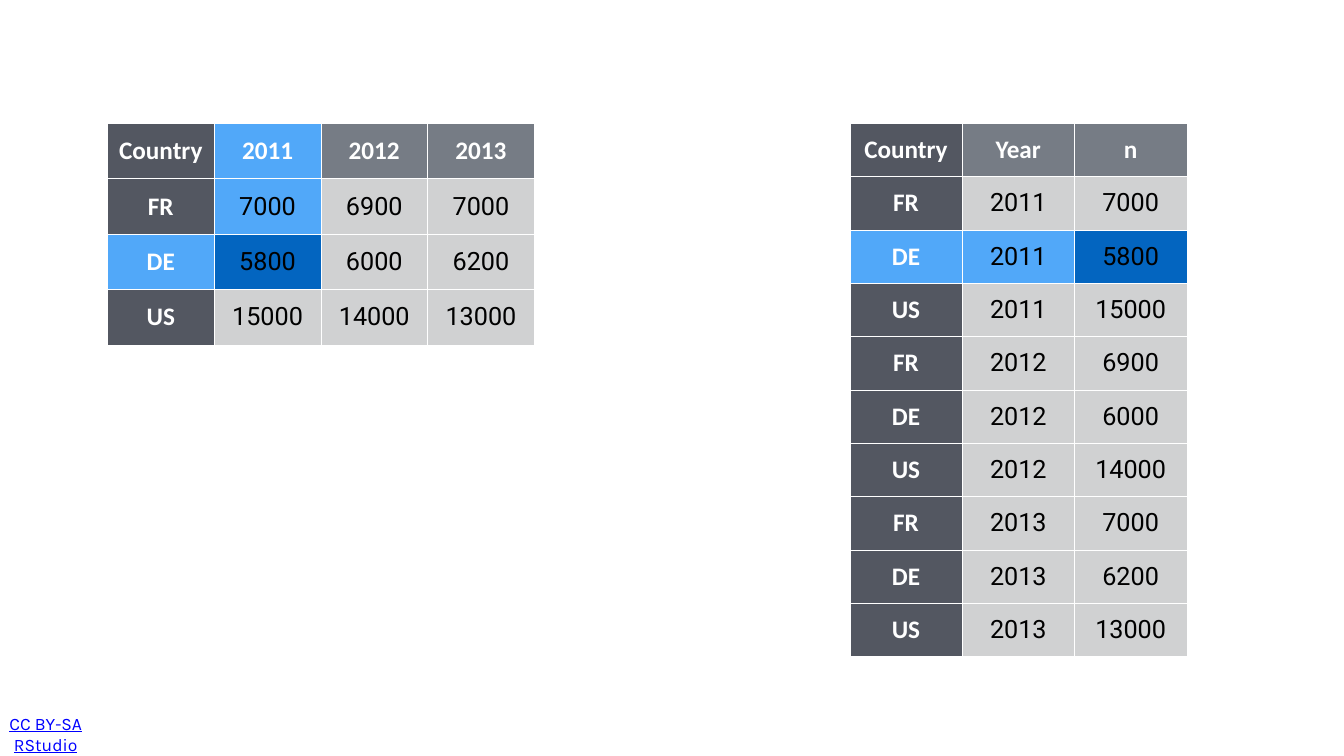
import pptx
import pptx.util
import pptx.dml.color
import pptx.enum.text
import pptx.oxml
import pptx.oxml.ns
from dataclasses import dataclass

Pt = pptx.util.Pt
Color = pptx.dml.color.RGBColor.from_string
MID = pptx.enum.text.MSO_ANCHOR.MIDDLE
MARGINS = ("margin_left", "margin_right", "margin_top", "margin_bottom")


@dataclass
class Theme:
    dark: str = "535761"
    head: str = "767C85"
    pale: str = "D0D1D2"
    light: str = "51A8F9"
    deep: str = "0365C0"
    white: str = "FFFFFF"
    black: str = "000000"
    link: str = "0000FF"
    big: int = 36
    small: int = 25
    bold: str = "Calibri"
    plain: str = "Roboto"
    note: str = "Karla"


def apply(item, values):
    for key, value in values.items():
        setattr(item, key, value)


class Deck:
    def __init__(self, theme, slide):
        self.theme = theme
        self.slide = slide

    def words(self, frame, text, color, values):
        para = frame.paragraphs[0]
        para.alignment = pptx.enum.text.PP_ALIGN.CENTER
        run = para.add_run()
        run.text = text
        apply(run.font, values)
        run.font.color.rgb = Color(color)

    def label(self, text, left, top, width, height, inset):
        frame = self.slide.shapes.add_textbox(
            Pt(left), Pt(top), Pt(width), Pt(height)).text_frame
        apply(frame, {
            "word_wrap": True, "vertical_anchor": MID,
            "margin_left": 0, "margin_right": Pt(inset),
        })
        self.words(frame, text, self.theme.link, {
            "name": self.theme.note, "size": Pt(self.theme.small),
            "underline": True,
        })

    def border(self, cell):
        props = cell._tc.get_or_add_tcPr()
        space = pptx.oxml.ns.nsdecls("a")
        for side in ("lnL", "lnR", "lnT", "lnB"):
            props.append(pptx.oxml.parse_xml(
                f'<a:{side} {space} w="{Pt(1)}"><a:solidFill>'
                f'<a:srgbClr val="{self.theme.white}"/>'
                f'</a:solidFill></a:{side}>'))

    def cell(self, cell, text, fill, strong):
        theme = self.theme
        self.border(cell)
        apply(cell, {"vertical_anchor": MID, **dict.fromkeys(MARGINS, Pt(4))})
        cell.fill.solid()
        cell.fill.fore_color.rgb = Color(fill)
        self.words(cell.text_frame, text, theme.white if strong else theme.black, {
            "name": theme.bold if strong else theme.plain,
            "size": Pt(theme.big), "bold": strong,
        })

    def table(self, data, left, top, width, height, marks):
        rows, cols = len(data), len(data[0])
        grid = self.slide.shapes.add_table(
            rows, cols, Pt(left), Pt(top), Pt(width * cols), Pt(height * rows)).table
        grid.horz_banding = False
        for row, line in enumerate(data):
            for col, text in enumerate(line):
                base = (self.theme.dark if col == 0
                        else self.theme.head if row == 0 else self.theme.pale)
                fill = marks.get((row, col), base)
                self.cell(grid.cell(row, col), text, fill, row == 0 or col == 0)


def main():
    show = pptx.Presentation()
    apply(show, {"slide_width": Pt(1920), "slide_height": Pt(1080)})
    theme = Theme()
    deck = Deck(theme, show.slides.add_slide(show.slide_layouts[6]))

    wide = [
        ["Country", "2011", "2012", "2013"],
        ["FR", "7000", "6900", "7000"],
        ["DE", "5800", "6000", "6200"],
        ["US", "15000", "14000", "13000"],
    ]
    long = [["Country", "Year", "n"]] + [
        [line[0], year, line[col]]
        for col, year in enumerate(wide[0]) if col
        for line in wide[1:]
    ]

    deck.label("CC BY-SA RStudio", 8.5, 1027, 191.5, 43, 78)
    deck.table(wide, 153.5, 176, 152.5, 79.25, {
        (0, 1): theme.light, (1, 1): theme.light,
        (2, 0): theme.light, (2, 1): theme.deep,
    })
    deck.table(long, 1214, 176, 160.5, 76.25, {
        (2, 0): theme.light, (2, 1): theme.light, (2, 2): theme.deep,
    })
    show.save("out.pptx")


if __name__ == "__main__":
    main()
